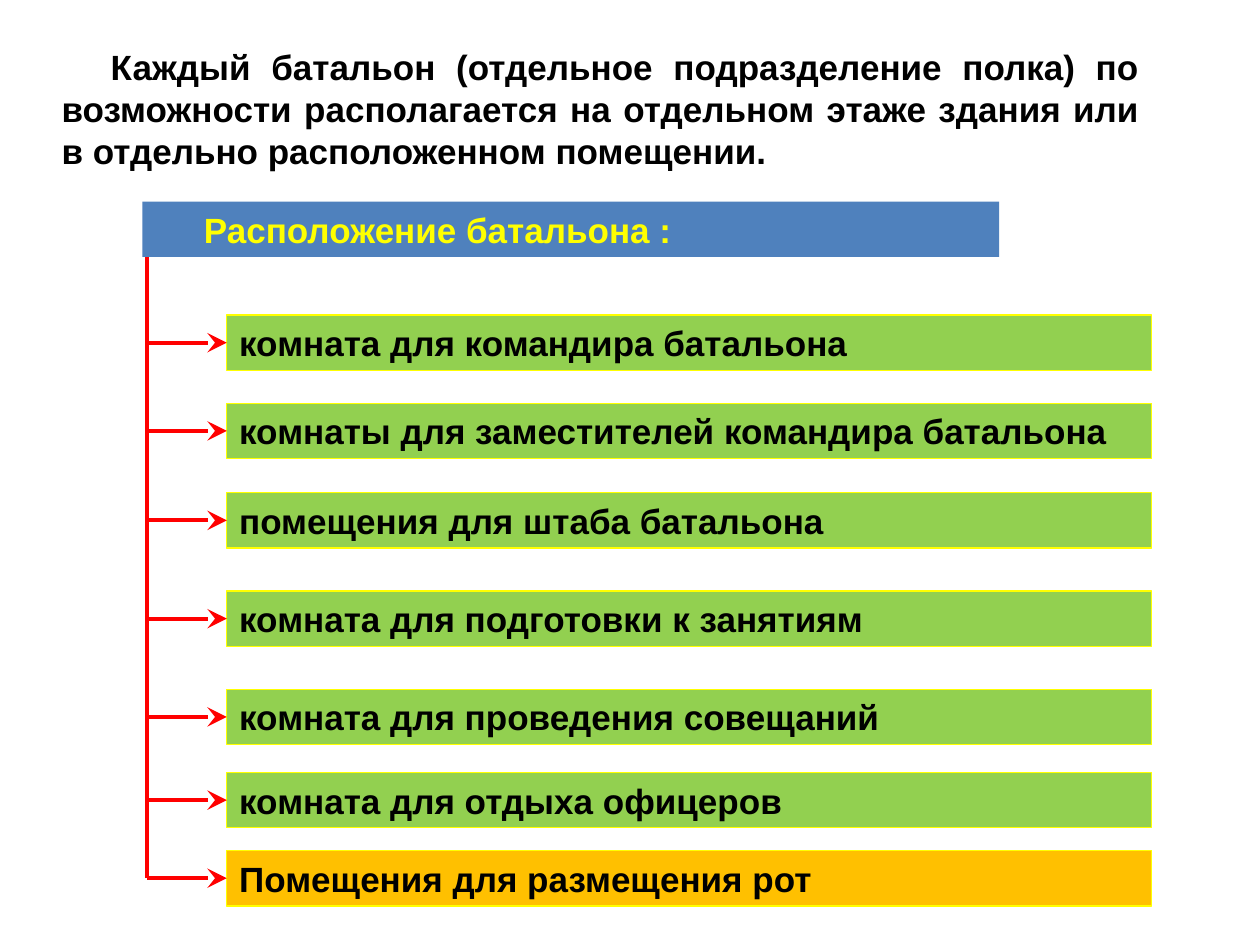
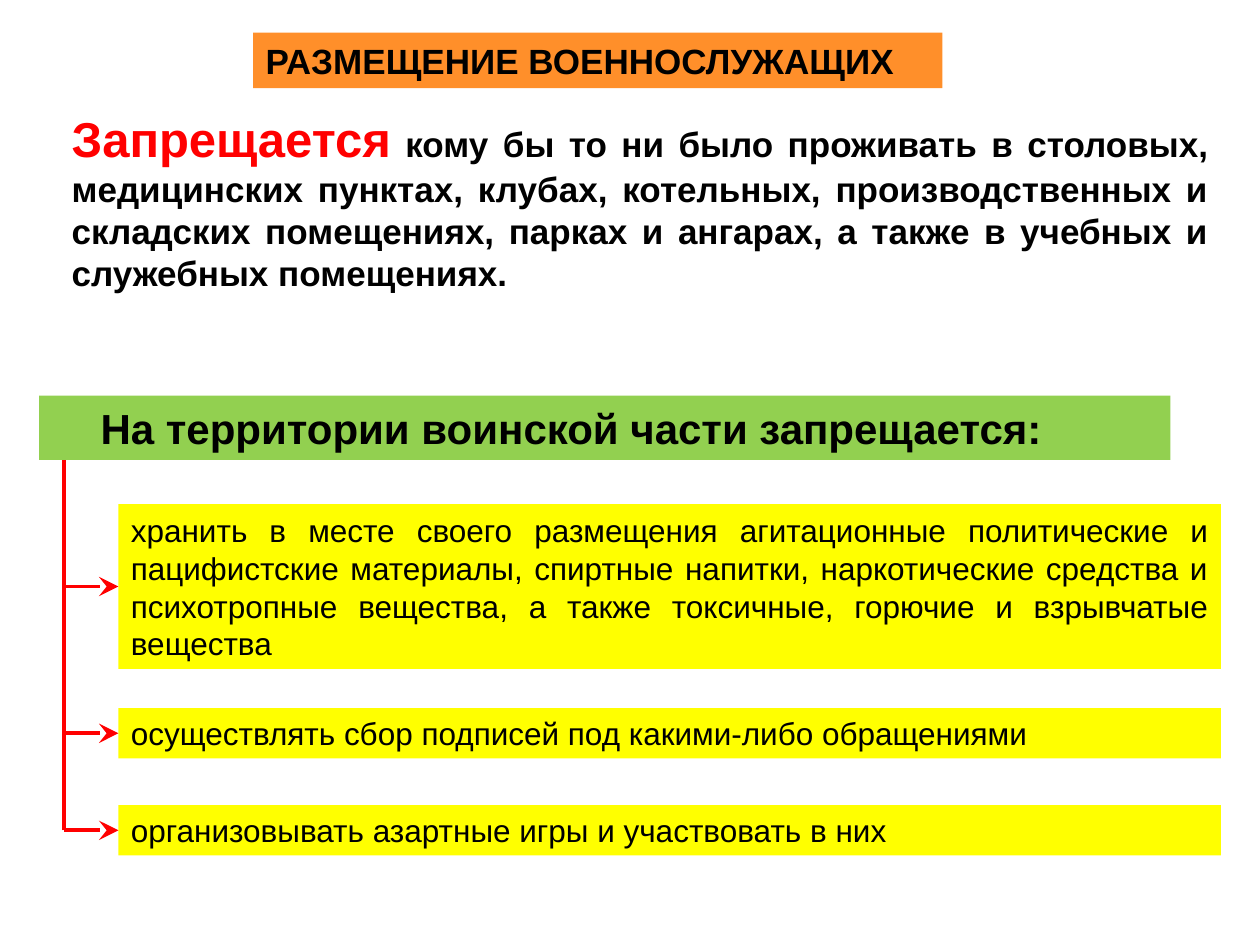
from lxml import etree
from pptx import Presentation
from pptx.dml.color import RGBColor
from pptx.enum.shapes import MSO_CONNECTOR, MSO_SHAPE
from pptx.enum.text import MSO_ANCHOR, MSO_AUTO_SIZE, PP_ALIGN
from pptx.oxml.ns import qn
from pptx.util import Inches, Pt

RECTANGLE = MSO_SHAPE.RECTANGLE
STRAIGHT = MSO_CONNECTOR.STRAIGHT
GROW = MSO_AUTO_SIZE.SHAPE_TO_FIT_TEXT
MIDDLE, TOP = MSO_ANCHOR.MIDDLE, MSO_ANCHOR.TOP
LEFT, JUSTIFY = PP_ALIGN.LEFT, PP_ALIGN.JUSTIFY
LEFT_SIDE = 1

BLACK, RED, YELLOW = "000000", "FF0000", "FFFF00"
GREEN, BLUE, AMBER, ORANGE = "92D050", "4F81BD", "FFC000", "FF8F2A"
FONT = "Arial"
INDENT = Inches(0.39)

# Grid of 100 columns by 75 square rows
presentation = Presentation()
presentation.slide_width, presentation.slide_height = Inches(10), Inches(7.5)
COLUMN = presentation.slide_width / 100
ROW = presentation.slide_height / 75
BAND_ROWS = 4.4


def add_block(slide, column, row, columns, rows, runs, size=20, bold=True,
              fill=None, outline=None, align=LEFT, indent=0):
    """Place text given as (text, colour, size) runs, on a filled band or bare."""
    place = [int(column * COLUMN), int(row * ROW), int(columns * COLUMN), int(rows * ROW)]
    if fill:
        shape = slide.shapes.add_shape(RECTANGLE, *place)
        shape.shadow.inherit = False
        shape.fill.solid()
        shape.fill.fore_color.rgb = RGBColor.from_string(fill)
        if outline:
            shape.line.color.rgb = RGBColor.from_string(outline)
            shape.line.width = Pt(0.75)
        else:
            shape.line.fill.background()
    else:
        shape = slide.shapes.add_textbox(*place)
    frame = shape.text_frame
    frame.word_wrap = True
    frame.auto_size = GROW
    frame.vertical_anchor = MIDDLE if fill else TOP
    paragraph = frame.paragraphs[0]
    paragraph.alignment = align
    if indent:
        paragraph._p.get_or_add_pPr().set("indent", str(indent))
    paragraph.font.name = FONT
    paragraph.font.bold = bold
    for text, color, run_size in runs:
        run = paragraph.add_run()
        run.text = text
        run.font.name = FONT
        run.font.size = Pt(run_size or size)
        run.font.color.rgb = RGBColor.from_string(color)
    return shape


def add_tree(slide, trunk_column, header_bottom_row, items):
    """Draw a trunk down from the header and an arrow to each item."""
    trunk_x = int(trunk_column * COLUMN)
    middles = [item.top + item.height // 2 for item in items]
    trunk = slide.shapes.add_connector(
        STRAIGHT, trunk_x, middles[-1], trunk_x, int(header_bottom_row * ROW))
    connectors = [trunk]
    for item, middle in zip(items, middles):
        arrow = slide.shapes.add_connector(STRAIGHT, trunk_x, middle, item.left, middle)
        arrow.end_connect(item, LEFT_SIDE)
        connectors.append(arrow)
    for connector in connectors:
        connector.line.color.rgb = RGBColor.from_string(RED)
        connector.line.width = Pt(2.25)
        if connector is not trunk:
            line = connector.line._get_or_add_ln()
            etree.SubElement(line, qn("a:tailEnd"), type="stealth", w="lg", len="lg")
        etree.SubElement(connector._element.spPr, qn("a:effectLst"))


blank = presentation.slide_layouts[6]

# Slide 1: rooms of a battalion
slide = presentation.slides.add_slide(blank)
rooms = [
    (25, "комната для командира батальона", GREEN),
    (32, "комнаты для заместителей командира батальона", GREEN),
    (39.1, "помещения для штаба батальона", GREEN),
    (46.9, "комната для подготовки к занятиям", GREEN),
    (54.7, "комната для проведения совещаний", GREEN),
    (61.3, "комната для отдыха офицеров", GREEN),
    (67.5, "Помещения для размещения рот", AMBER),
]
room_bands = [
    add_block(slide, 18, row, 73.4, BAND_ROWS, [(text, BLACK, None)],
              fill=fill, outline=YELLOW)
    for row, text, fill in rooms
]
add_tree(slide, 11.7, 16 + BAND_ROWS, room_bands)
add_block(slide, 11.3, 16, 68, BAND_ROWS, [("Расположение батальона :", YELLOW, None)],
          fill=BLUE, indent=INDENT)
add_block(slide, 3.9, 3.1, 87.5, 11.1, [(
    "Каждый батальон (отдельное подразделение полка) по возможности располагается "
    "на отдельном этаже здания или в отдельно расположенном помещении.", BLACK, None)],
    align=JUSTIFY, indent=INDENT)

# Slide 2: housing rules and prohibitions
slide = presentation.slides.add_slide(blank)
add_block(slide, 4.7, 8.1, 92.2, 15.8, [
    ("Запрещается", RED, 28),
    (" кому бы то ни было проживать в столовых, медицинских пунктах, клубах, котельных, "
     "производственных и складских помещениях, парках и ангарах, а также в учебных и "
     "служебных помещениях.", BLACK, None)], align=JUSTIFY)
prohibitions = [
    (40, 13.1, JUSTIFY,
     "хранить в месте своего размещения агитационные политические и пацифистские материалы, "
     "спиртные напитки, наркотические средства и психотропные вещества, а также токсичные, "
     "горючие и взрывчатые вещества"),
    (56.2, 4, LEFT, "осуществлять сбор подписей под какими-либо обращениями"),
    (63.9, 4, LEFT, "организовывать азартные игры и участвовать в них"),
]
prohibition_bands = [
    add_block(slide, 9.4, row, 87.5, rows, [(text, BLACK, None)], size=18, bold=False,
              fill=YELLOW, align=align)
    for row, rows, align, text in prohibitions
]
add_tree(slide, 5.1, 36.5, prohibition_bands)
add_block(slide, 3.1, 31.4, 89.8, 5.1,
          [("На территории воинской части запрещается:", BLACK, None)],
          size=24, fill=GREEN, indent=INDENT)
add_block(slide, 20.1, 2.6, 54.7, BAND_ROWS,
          [("РАЗМЕЩЕНИЕ ВОЕННОСЛУЖАЩИХ", BLACK, None)], fill=ORANGE)

presentation.save("out.pptx")
